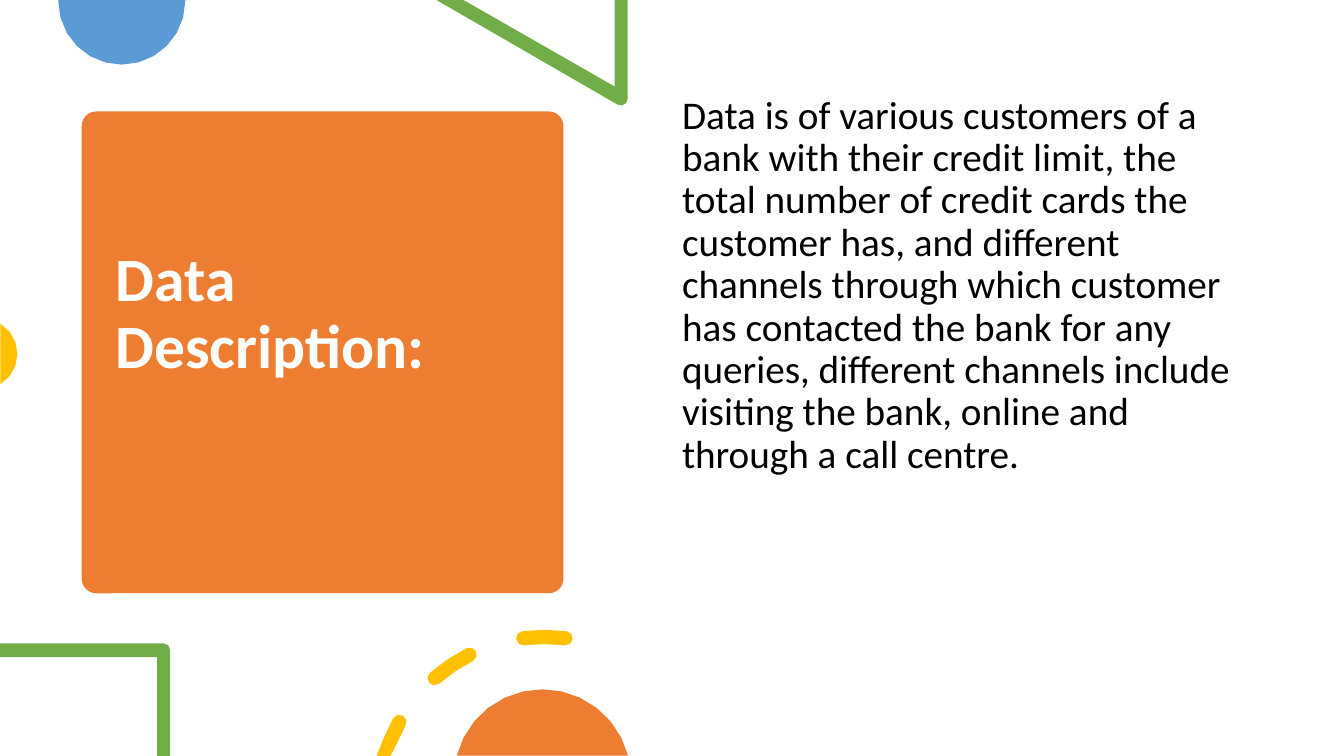
import math
from dataclasses import dataclass

import pptx
import pptx.dml.color
import pptx.enum.shapes
import pptx.enum.text
import pptx.util

Cm = pptx.util.Cm
Points = list[tuple[float, float]]

WIDTH, HEIGHT = 33.87, 19.05
ARC_TOLERANCE = 0.015
COLORS = {
    "orange": "ED7D31",
    "blue": "5B9BD5",
    "green": "70AD47",
    "yellow": "FFC000",
    "white": "FFFFFF",
    "black": "000000",
}


@dataclass
class Decoration:
    color: str
    contours: list[Points]


@dataclass
class TextStyle:
    size: float
    bold: bool
    color: str
    space_before: float
    anchor: pptx.enum.text.MSO_ANCHOR


def rgb(color: str) -> pptx.dml.color.RGBColor:
    return pptx.dml.color.RGBColor.from_string(COLORS[color])


def arc(cx: float, cy: float, r: float, start: float, end: float) -> Points:
    """Points in cm along an arc; degrees run counter-clockwise from the right."""
    widest_step = 2 * math.degrees(math.acos(1 - ARC_TOLERANCE / r))
    steps = math.ceil(abs(end - start) / widest_step)
    angles = [math.radians(start + (end - start) * i / steps) for i in range(steps + 1)]
    return [(cx + r * math.cos(a), cy - r * math.sin(a)) for a in angles]


def ring_dash(middle: float) -> Points:
    """One round-ended dash of the ring."""
    cx, cy, r, half, sweep = 13.72, 20.24, 4.19, 0.18, 7.3
    start, end = middle - sweep, middle + sweep
    (x0, y0), *_, (x1, y1) = arc(cx, cy, r, start, end)
    return (
        arc(cx, cy, r + half, start, end)
        + arc(x1, y1, half, end, end + 180)[1:-1]
        + arc(cx, cy, r - half, end, start)
        + arc(x0, y0, half, start + 180, start + 360)[1:-1]
    )


def paint(sp, color: str) -> None:
    sp.shadow.inherit = False
    sp.fill.solid()
    sp.fill.fore_color.rgb = rgb(color)
    sp.line.fill.background()


def draw_decoration(s, deco: Decoration) -> None:
    # Outlines end at the slide's left and bottom edges
    contours = [[(Cm(max(x, 0)), Cm(min(y, HEIGHT))) for x, y in c] for c in deco.contours]
    builder = s.shapes.build_freeform(*contours[0][0], scale=1.0)
    for i, contour in enumerate(contours):
        if i:
            builder.move_to(*contour[0])
        builder.add_line_segments(contour[1:], close=True)
    paint(builder.convert_to_shape(), deco.color)


def write_text(sp, text: str, style: TextStyle) -> None:
    tf = sp.text_frame
    tf.word_wrap = True
    tf.vertical_anchor = style.anchor
    p = tf.paragraphs[0]
    paragraph_format = {
        "alignment": pptx.enum.text.PP_ALIGN.LEFT,
        "line_spacing": 0.9,
        "space_before": pptx.util.Pt(style.space_before),
    }
    for key, value in paragraph_format.items():
        setattr(p, key, value)
    r = p.add_run()
    r.text = text
    font_format = {"name": "Calibri", "size": pptx.util.Pt(style.size), "bold": style.bold}
    for key, value in font_format.items():
        setattr(r.font, key, value)
    r.font.color.rgb = rgb(style.color)


DECORATIONS = [
    # Circle at the top
    Decoration("blue", [[(4.67, 0), (1.47, 0)] + arc(3.07, 0.03, 1.6, 180, 360)]),
    # Triangle
    Decoration("green", [
        [(15.82, 0), (15.49, 0), (15.49, 2.18), (11.68, 0), (11, 0)]
        + arc(15.65, 2.49, 0.17, 240, 360)
    ]),
    # Circle at the left
    Decoration("yellow", [arc(-0.45, 8.92, 0.89, -59, 59)]),
    # Square
    Decoration("green", [
        [(0, 16.21), (0, 16.56), (3.96, 16.56), (3.96, HEIGHT), (4.29, HEIGHT)]
        + arc(4.12, 16.38, 0.17, 0, 90)
    ]),
    # Dashed ring
    Decoration("yellow", [ring_dash(90 + 34 * i) for i in range(3)]),
    # Circle at the bottom
    Decoration("orange", [arc(13.67, 19.6, 2.23, 14.5, 165.5)]),
]
TITLE_STYLE = TextStyle(44, True, "white", 0, pptx.enum.text.MSO_ANCHOR.MIDDLE)
BODY_STYLE = TextStyle(28, False, "black", 10, pptx.enum.text.MSO_ANCHOR.TOP)
BODY_TEXT = (
    "Data is of various customers of a bank with their credit limit, the total number of "
    "credit cards the customer has, and different channels through which customer has "
    "contacted the bank for any queries, different channels include visiting the bank, "
    "online and through a call centre."
)


def main() -> None:
    prs = pptx.Presentation()
    prs.slide_width, prs.slide_height = Cm(WIDTH), Cm(HEIGHT)
    s = prs.slides.add_slide(prs.slide_layouts[5])

    # Title block
    block = s.shapes.add_shape(
        pptx.enum.shapes.MSO_SHAPE.ROUNDED_RECTANGLE, Cm(2.06), Cm(2.81), Cm(12.14), Cm(12.14)
    )
    block.adjustments[0] = 0.03
    paint(block, "orange")

    # Title, brought in front of its block and raised by its bottom inset
    title = s.shapes.title
    block._element.addnext(title._element)
    position = {"left": 2.66, "top": 3.1, "width": 10.95, "height": 11.58}
    for key, value in position.items():
        setattr(title, key, Cm(value))
    write_text(title, "Data Description:", TITLE_STYLE)
    title.text_frame.auto_size = pptx.enum.text.MSO_AUTO_SIZE.NONE
    title.text_frame.margin_bottom = Cm(2.02)

    # Decorations around the edges
    for deco in DECORATIONS:
        draw_decoration(s, deco)

    # Description
    body = s.shapes.add_textbox(Cm(16.94), Cm(2.28), Cm(14.6), Cm(13.59))
    write_text(body, BODY_TEXT, BODY_STYLE)

    prs.save("out.pptx")


if __name__ == "__main__":
    main()
